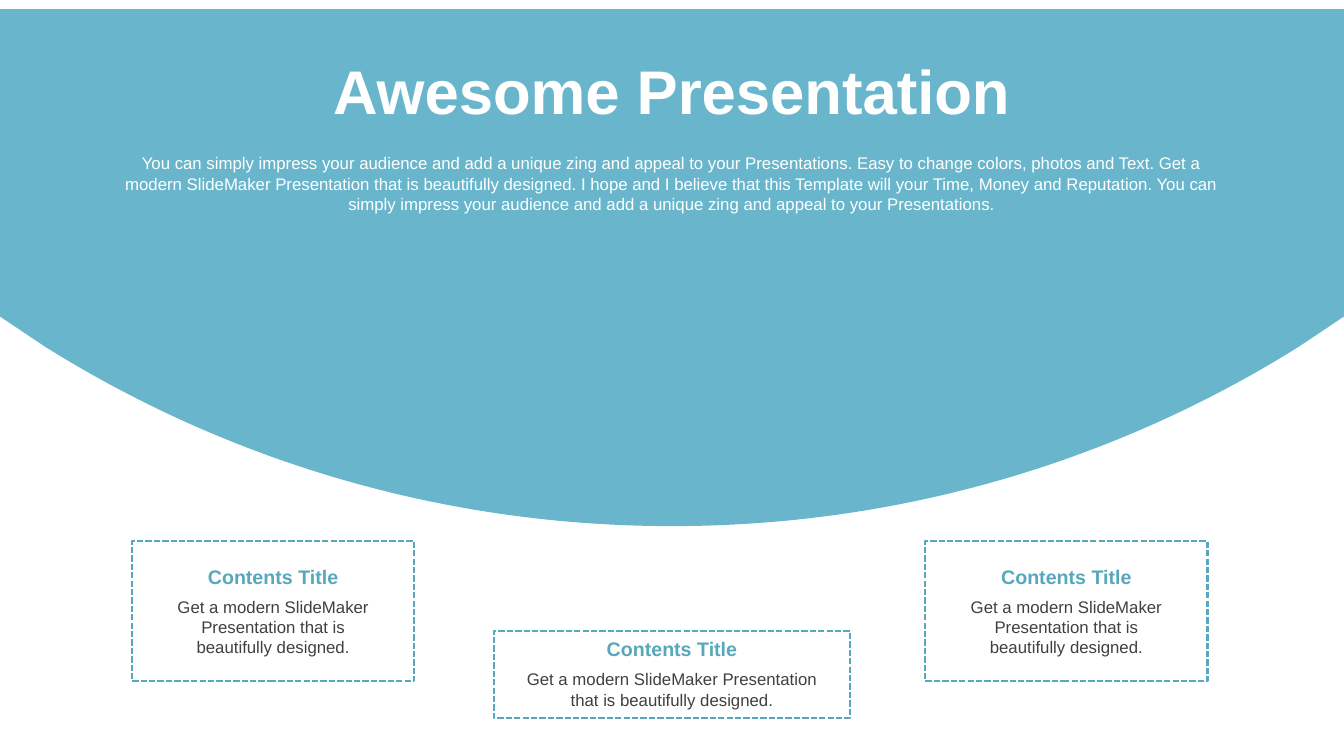
from dataclasses import dataclass
from pptx import Presentation
from pptx.dml.color import RGBColor
from pptx.enum.dml import MSO_LINE
from pptx.enum.shapes import MSO_SHAPE
from pptx.enum.text import MSO_ANCHOR, MSO_AUTO_SIZE, PP_ALIGN
from pptx.util import Inches, Pt

RECTANGLE = MSO_SHAPE.RECTANGLE
DASH = MSO_LINE.SQUARE_DOT
CENTER = PP_ALIGN.CENTER
TOP, MIDDLE = MSO_ANCHOR.TOP, MSO_ANCHOR.MIDDLE
GROW = MSO_AUTO_SIZE.SHAPE_TO_FIT_TEXT

TITLE = "Awesome Presentation"
INTRO = (
    "You can simply impress your audience and add a unique zing and appeal to your "
    "Presentations. Easy to change colors, photos and Text. Get a modern SlideMaker "
    "Presentation that is beautifully designed. I hope and I believe that this Template "
    "will your Time, Money and Reputation. You can simply impress your audience and add "
    "a unique zing and appeal to your Presentations."
)
CARD_TITLE = "Contents Title"
CARD_BODY = "Get a modern SlideMaker Presentation that is beautifully designed."

COLUMNS = ROWS = 100
TITLE_AREA = (17.5, 6.27, 65, 11.2)
INTRO_AREA = (8.3, 19.6, 83.4, 9.47)
CARDS = [
    {"area": (9.83, 71.6, 21, 18.53), "inset": 2, "text_offset": 2.4},
    {"area": (68.85, 71.6, 21, 18.53), "inset": 2, "text_offset": 2.4},
    {"area": (36.75, 83.47, 26.5, 11.47), "inset": 1.03, "text_offset": 0.13},
]
CARD_TITLE_ROWS, CARD_BODY_OFFSET, CARD_BODY_ROWS = 4.53, 4.27, 7

DOME_TOP, DOME_EDGE = 1.2, 41.87
DOME_CURVE = [(3.36, 45.87), (16.9, 60.93), (32.9, 69.6), (50, 69.6)]
CURVE_STEPS = 60


@dataclass(frozen=True)
class Theme:
    font: str = "Arial"
    dome: RGBColor = RGBColor(0x69, 0xB6, 0xCC)
    accent: RGBColor = RGBColor(0x57, 0xA7, 0xBD)
    body: RGBColor = RGBColor(0x40, 0x40, 0x40)
    white: RGBColor = RGBColor(0xFF, 0xFF, 0xFF)
    title_size: Pt = Pt(44)
    card_title_size: Pt = Pt(14)
    body_size: Pt = Pt(12)
    border: Pt = Pt(1.5)


THEME = Theme()
SLIDE_WIDTH, SLIDE_HEIGHT = Inches(13.33), Inches(7.5)


def to_point(column, row):
    return round(column * SLIDE_WIDTH / COLUMNS), round(row * SLIDE_HEIGHT / ROWS)


def to_box(area):
    return to_point(*area[:2]) + to_point(*area[2:])


def write(shape, text, size, color, bold=False, anchor=TOP):
    frame = shape.text_frame
    frame.word_wrap = True
    frame.auto_size = GROW
    frame.vertical_anchor = anchor
    frame.text = text
    paragraph = frame.paragraphs[0]
    paragraph.alignment = CENTER
    font = paragraph.font
    font.name, font.size, font.bold = THEME.font, size, bold
    font.color.rgb = color


def add_text(slide, area, *style, **options):
    write(slide.shapes.add_textbox(*to_box(area)), *style, **options)


def curve_point(step):
    t = step / CURVE_STEPS
    weights = ((1 - t) ** 3, 3 * t * (1 - t) ** 2, 3 * t**2 * (1 - t), t**3)
    return tuple(
        sum(weight * point[axis] for weight, point in zip(weights, DOME_CURVE))
        for axis in (0, 1)
    )


def add_dome(slide):
    left = [(0, DOME_TOP), (0, DOME_EDGE)]
    left += [curve_point(step) for step in range(CURVE_STEPS + 1)]
    right = [(COLUMNS - column, row) for column, row in reversed(left[:-1])]
    points = [to_point(*point) for point in left + right]
    builder = slide.shapes.build_freeform(*points[0], scale=1.0)
    builder.add_line_segments(points[1:], close=True)
    dome = builder.convert_to_shape()
    dome.shadow.inherit = False
    dome.fill.solid()
    dome.fill.fore_color.rgb = THEME.dome
    dome.line.fill.background()
    slide.shapes.title.element.addprevious(dome.element)


def add_card(slide, area, inset, text_offset):
    frame = slide.shapes.add_shape(RECTANGLE, *to_box(area))
    frame.shadow.inherit = False
    frame.fill.solid()
    frame.fill.fore_color.rgb = THEME.white
    frame.line.color.rgb = THEME.accent
    frame.line.width = THEME.border
    frame.line.dash_style = DASH

    left, top, width, _ = area
    text_left, text_width = left + inset, width - 2 * inset
    text_top = top + text_offset
    add_text(slide, (text_left, text_top + CARD_BODY_OFFSET, text_width, CARD_BODY_ROWS),
             CARD_BODY, THEME.body_size, THEME.body)
    add_text(slide, (text_left, text_top, text_width, CARD_TITLE_ROWS),
             CARD_TITLE, THEME.card_title_size, THEME.accent, bold=True)


def main():
    presentation = Presentation()
    presentation.slide_width, presentation.slide_height = SLIDE_WIDTH, SLIDE_HEIGHT
    slide = presentation.slides.add_slide(presentation.slide_layouts[5])
    add_dome(slide)
    title = slide.shapes.title
    title.left, title.top, title.width, title.height = to_box(TITLE_AREA)
    write(title, TITLE, THEME.title_size, THEME.white, bold=True, anchor=MIDDLE)
    add_text(slide, INTRO_AREA, INTRO, THEME.body_size, THEME.white)
    for card in CARDS:
        add_card(slide, **card)
    presentation.save("out.pptx")


if __name__ == "__main__":
    main()
